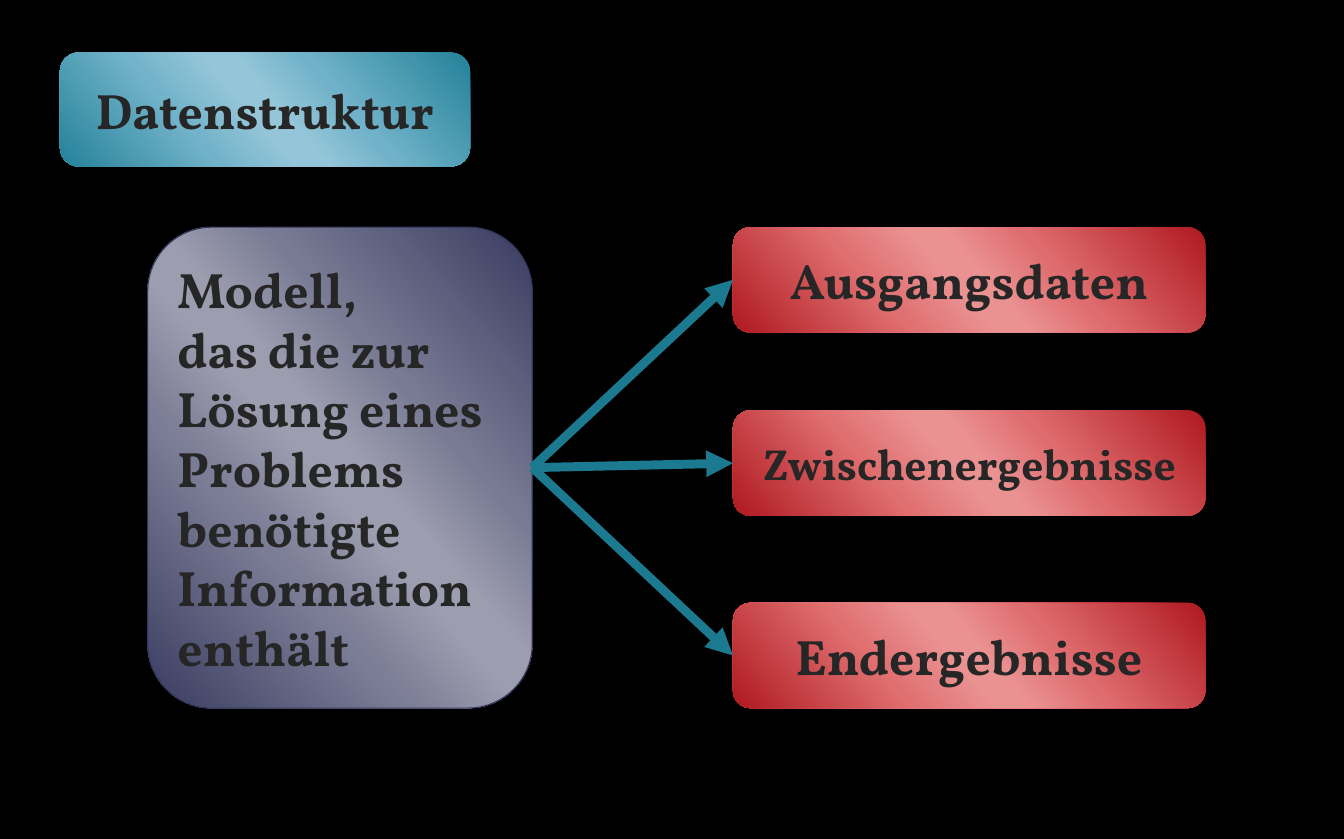
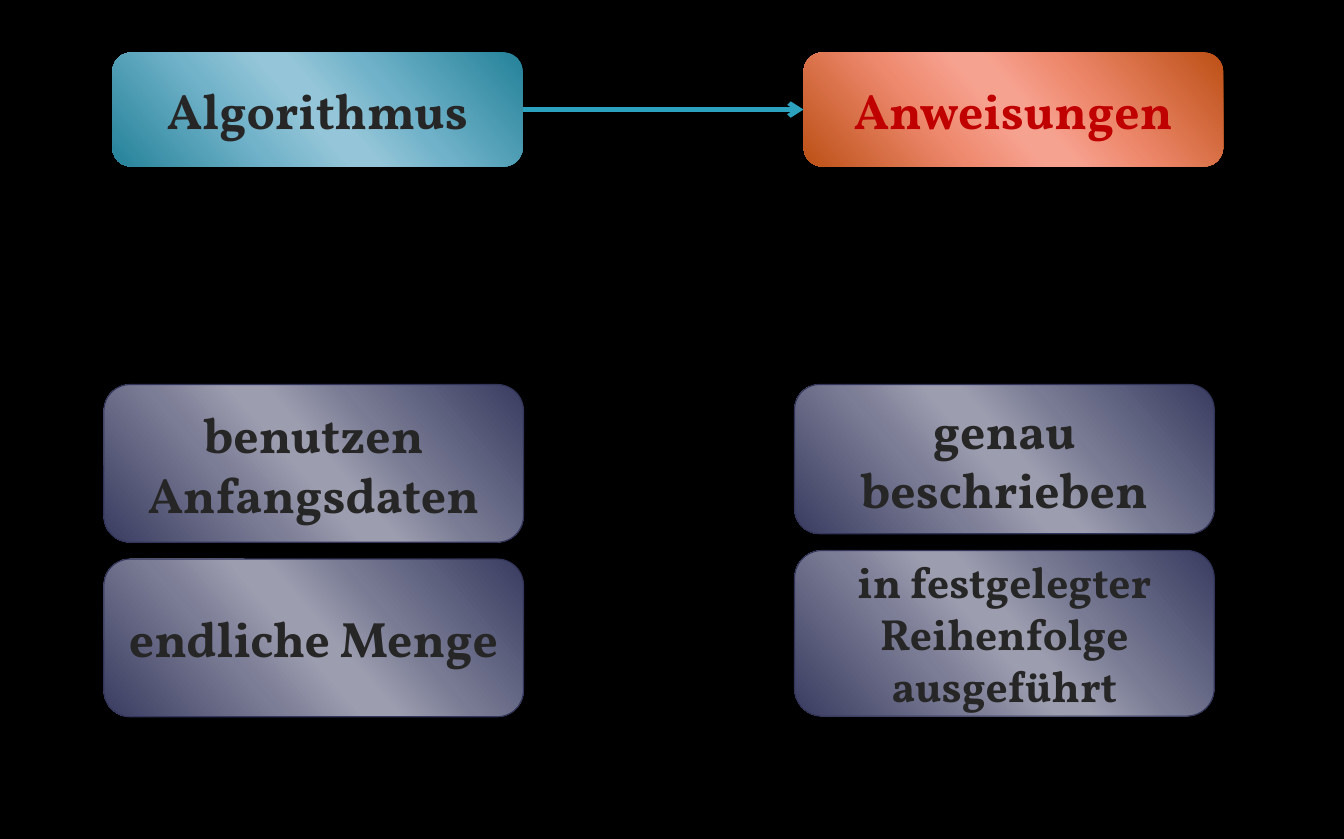
"""Build two slides on data structures and algorithms."""
import lxml.etree
import pptx
import pptx.dml.color
import pptx.enum.shapes
import pptx.enum.text
import pptx.oxml.ns
import pptx.util

Pt = pptx.util.Pt
FONT = "Vollkorn"
BACKGROUND, INK, RED_INK = "000000", "262626", "C00000"
PURPLE_LINE, DARK_TEAL, LIGHT_TEAL = "323559", "1B7990", "2DA2BF"
STOPS = (0, 33, 47, 53, 68, 100)
PURPLE = ("393C60", "797B94", "9C9DAF", "9C9DAF", "7B7C95", "393C60")
TEAL = ("248299", "70B2C9", "94C5D8", "94C5D8", "72B3CA", "248299")
RED = ("AF1920", "DF6D6F", "EA9192", "EA9192", "E06F70", "AF1920")
ORANGE = ("BC5016", "EE886C", "F6A290", "F6A290", "EE896E", "BC5016")
TITLE_TOP, TITLE_WIDTH, TITLE_HEIGHT = 33.8, 264, 73.4
CENTER = pptx.enum.text.PP_ALIGN.CENTER
LEFT = pptx.enum.text.PP_ALIGN.LEFT


def color(value):
    """Turn a hex string into a colour."""
    return pptx.dml.color.RGBColor.from_string(value)


def add_element(parent, tag, **attributes):
    """Append a DrawingML element to a parent."""
    return lxml.etree.SubElement(parent, pptx.oxml.ns.qn(tag), **attributes)


def fill_gradient(shape, palette):
    """Fill a shape with a diagonal sheen."""
    shape.fill.solid()
    properties = shape._element.spPr
    solid = properties.find(pptx.oxml.ns.qn("a:solidFill"))
    gradient = lxml.etree.Element(pptx.oxml.ns.qn("a:gradFill"), rotWithShape="1")
    stops = add_element(gradient, "a:gsLst")
    for position, value in zip(STOPS, palette):
        stop = add_element(stops, "a:gs", pos=str(position * 1000))
        add_element(stop, "a:srgbClr", val=value)
    add_element(gradient, "a:lin", ang=str(139 * 60000), scaled="0")
    properties.replace(solid, gradient)


def add_card(slide, box, text, palette, size=32, ink=INK, alignment=CENTER):
    """Add a rounded gradient card with bold text."""
    shape = slide.shapes.add_shape(
        pptx.enum.shapes.MSO_SHAPE.ROUNDED_RECTANGLE, *map(Pt, box))
    shape.shadow.inherit = False
    fill_gradient(shape, palette)
    if palette is PURPLE:
        shape.line.color.rgb = color(PURPLE_LINE)
        shape.line.width = Pt(0.75)
    else:
        shape.line.fill.background()
    frame = shape.text_frame
    frame.word_wrap = True
    frame.vertical_anchor = pptx.enum.text.MSO_ANCHOR.MIDDLE
    frame.text = text
    for paragraph in frame.paragraphs:
        paragraph.alignment = alignment
        for run in paragraph.runs:
            run.font.name = FONT
            run.font.size = Pt(size)
            run.font.bold = True
            run.font.color.rgb = color(ink)
    return shape


def add_arrow(slide, source, target, value, width, head):
    """Join the right side of one card to the left side of another."""
    arrow = slide.shapes.add_connector(
        pptx.enum.shapes.MSO_CONNECTOR.STRAIGHT, 0, 0, 0, 0)
    arrow.begin_connect(source, 3)
    arrow.end_connect(target, 1)
    arrow.line.color.rgb = color(value)
    arrow.line.width = Pt(width)
    add_element(arrow.line._get_or_add_ln(), "a:tailEnd", type=head)
    add_element(arrow._element.spPr, "a:effectLst")


def add_title(slide, left, text):
    """Add the teal title card."""
    box = (left, TITLE_TOP, TITLE_WIDTH, TITLE_HEIGHT)
    return add_card(slide, box, text, TEAL)


def add_slide(presentation):
    """Add a blank slide with the shared background."""
    slide = presentation.slides.add_slide(presentation.slide_layouts[6])
    slide.background.fill.solid()
    slide.background.fill.fore_color.rgb = color(BACKGROUND)
    return slide


def add_model(slide, box):
    """Add the model card and its fan of arrows to three kinds of data."""
    left, top, width, height = box
    model = add_card(
        slide, (left, top, 247.5, height),
        "Modell,\ndas die zur Lösung eines Problems benötigte Information enthält",
        PURPLE, alignment=LEFT)
    card_width, card_height = 304, 67.8
    results = (("Ausgangsdaten", 0, 32), ("Zwischenergebnisse", 118, 28),
               ("Endergebnisse", height - card_height, 32))
    cards = [
        add_card(slide, (left + width - card_width, top + offset, card_width, card_height),
                 text, RED, size)
        for text, offset, size in results]
    for card in cards:
        add_arrow(slide, model, card, DARK_TEAL, 5.75, "triangle")


def add_column(slide, box, items, gap=10.8):
    """Stack purple cards of given heights in a column."""
    left, top, width = box
    for text, height, size in items:
        add_card(slide, (left, top, width, height), text, PURPLE, size)
        top += height + gap


def build_data_structure(presentation):
    """Build the slide on the data structure."""
    slide = add_slide(presentation)
    add_title(slide, 38.5, "Datenstruktur")
    add_model(slide, (95, 146.2, 680.6, 309.6))


def build_algorithm(presentation):
    """Build the slide on the algorithm."""
    slide = add_slide(presentation)
    title = add_title(slide, 72.3, "Algorithmus")
    instructions = add_card(slide, (517, TITLE_TOP, 270, TITLE_HEIGHT),
                            "Anweisungen", ORANGE, ink=RED_INK)
    add_arrow(slide, title, instructions, LIGHT_TEAL, 3, "arrow")
    add_column(slide, (66.8, 247.5, 270),
               (("benutzen Anfangsdaten", 101.5, 32), ("endliche Menge", 101.5, 32)))
    add_column(slide, (511.2, 247.5, 270),
               (("genau beschrieben", 96, 32),
                ("in festgelegter Reihenfolge ausgeführt", 106.6, 28)))


def main():
    """Build and save the presentation."""
    presentation = pptx.Presentation()
    presentation.slide_width = Pt(864.72)
    presentation.slide_height = Pt(540)
    build_data_structure(presentation)
    build_algorithm(presentation)
    presentation.save("out.pptx")


if __name__ == "__main__":
    main()
